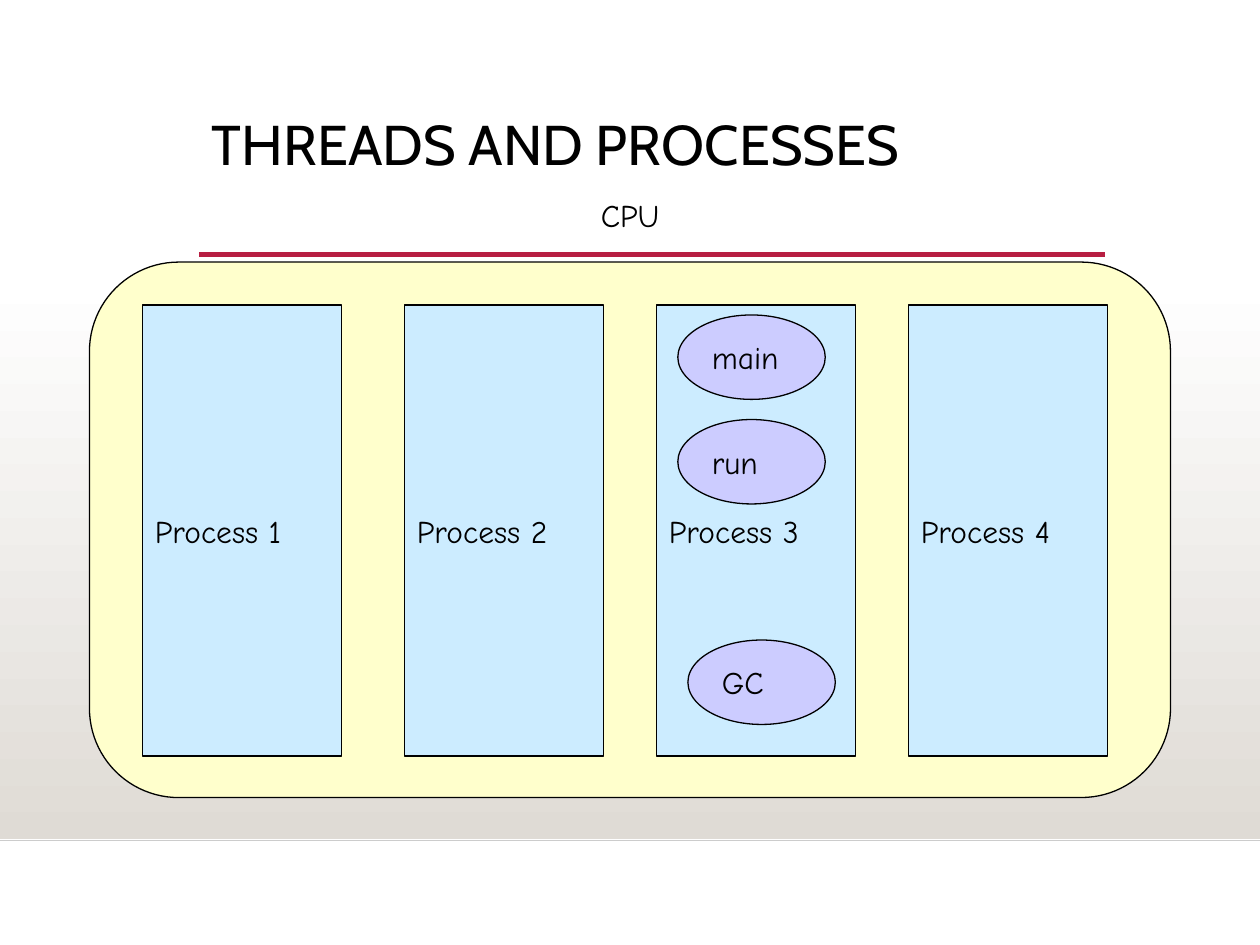
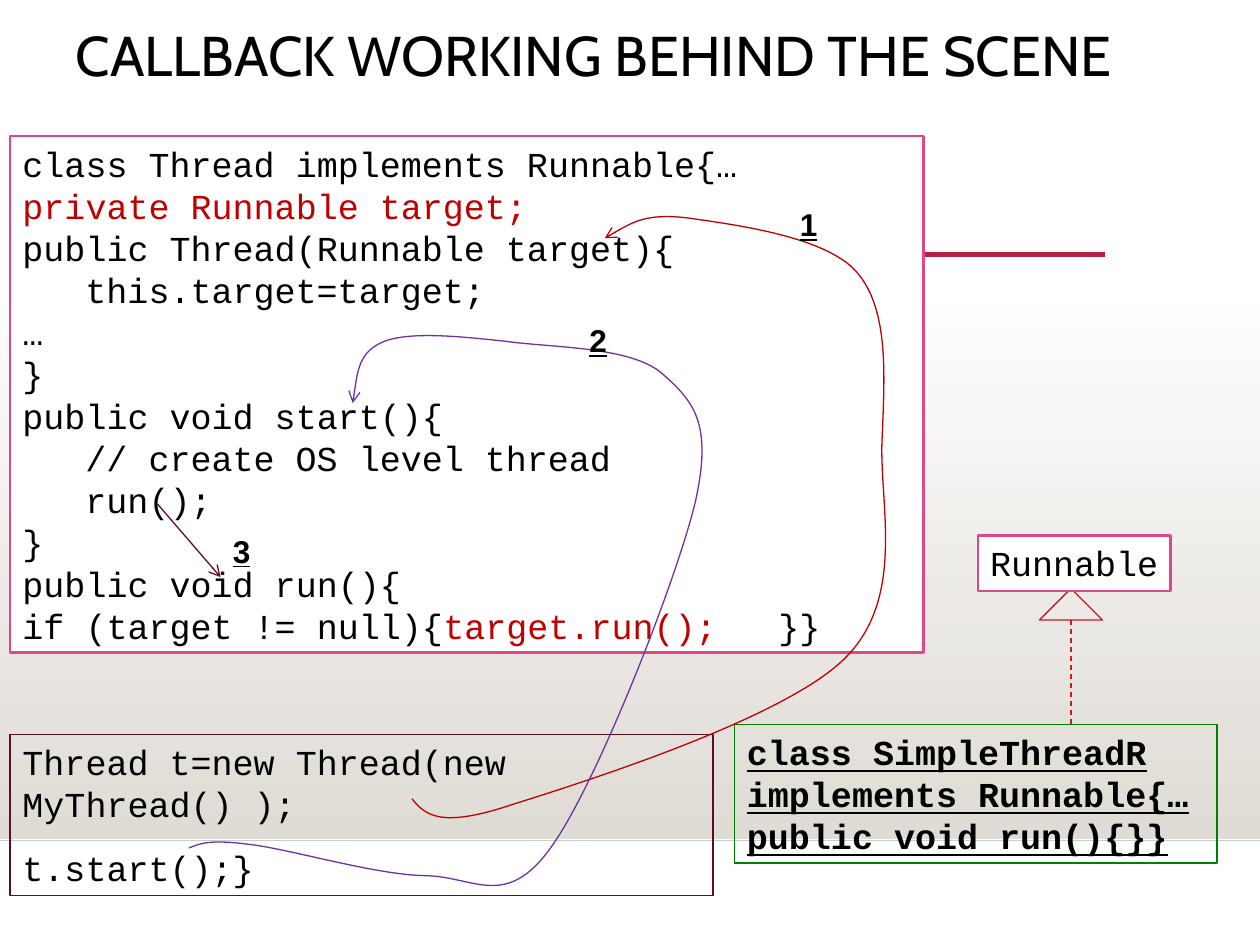
from pptx import Presentation
from pptx.dml.color import RGBColor
from pptx.enum.dml import MSO_LINE
from pptx.enum.shapes import MSO_CONNECTOR, MSO_SHAPE
from pptx.enum.text import MSO_ANCHOR, MSO_AUTO_SIZE, PP_ALIGN
from pptx.oxml.xmlchemy import OxmlElement
from pptx.util import Pt

PX = 9144  # EMU per px, 100 px to the inch
RECT, ROUNDED = MSO_SHAPE.RECTANGLE, MSO_SHAPE.ROUNDED_RECTANGLE
OVAL, TRIANGLE = MSO_SHAPE.OVAL, MSO_SHAPE.ISOSCELES_TRIANGLE
STRAIGHT, DASH = MSO_CONNECTOR.STRAIGHT, MSO_LINE.DASH
TOP, MIDDLE, LEFT = MSO_ANCHOR.TOP, MSO_ANCHOR.MIDDLE, PP_ALIGN.LEFT
NO_FIT = MSO_AUTO_SIZE.NONE

BLACK, WHITE, SAND = "000000", "FFFFFF", "DFDBD5"
PINK, RED, PURPLE, WINE = "DE478E", "C00000", "7030A0", "5C0F21"
TITLE = {"font": "Cabin", "size": 32}
DIAGRAM = {"font": "Comic Neue", "size": 18}
CODE = {"font": "Courier New", "size": 20}
CODE_STRONG = {**CODE, "strong": True}
STEP = {"font": "Arial", "size": 18, "strong": True}
CODE_TABS = (50, 600)


def rgb(value):
    return RGBColor.from_string(value)


def px(*values):
    return [v * PX for v in values]


class Deck:
    def __init__(self):
        self.prs = Presentation()
        self.prs.slide_width, self.prs.slide_height = px(1000, 750)
        self.s = None

    def slide(self, title, at):
        self.s = self.prs.slides.add_slide(self.prs.slide_layouts[5])
        # Background band and rules
        band = self.shape(RECT, (0, 220, 1000, 446))
        band.fill.gradient()
        band.fill.gradient_angle = 270
        for stop, color in zip(band.fill.gradient_stops, (WHITE, SAND)):
            stop.color.rgb = rgb(color)
        self.line((0, 667), (1000, 667), "CCCCCC", 1)
        self.line((158, 202), (877, 202), "B71E42", 2.5)
        # Title
        sp = self.s.shapes.title
        sp.left, sp.top, sp.width, sp.height = px(*at)
        self.fill_text(sp, [title], TITLE)
        sp.text_frame.paragraphs[0].line_spacing = 0.9

    def fill_text(self, sp, lines, style, anchor=TOP, wrap=True, gap=0, tabs=()):
        """Each line is a string or a list of (text, colour) runs."""
        tf = sp.text_frame
        tf.auto_size, tf.word_wrap, tf.vertical_anchor = NO_FIT, wrap, anchor
        tf.margin_left, tf.margin_right, tf.margin_top, tf.margin_bottom = px(10, 10, 5, 5)
        for i, line in enumerate(lines):
            p = tf.add_paragraph() if i else tf.paragraphs[0]
            p.alignment = LEFT
            p.space_before = Pt(gap if i else 0)
            if tabs:
                self.tab_stops(p, tabs)
            for text, color in [(line, BLACK)] if isinstance(line, str) else line:
                r = p.add_run()
                r.text = text
                r.font.name, r.font.size = style["font"], Pt(style["size"])
                r.font.color.rgb = rgb(color)
                if style.get("strong"):
                    r.font.bold = r.font.underline = True

    def tab_stops(self, p, stops):
        tab_list = OxmlElement("a:tabLst")
        for stop in stops:
            tab = OxmlElement("a:tab")
            tab.set("pos", str(stop * PX))
            tab.set("algn", "l")
            tab_list.append(tab)
        p._p.get_or_add_pPr().append(tab_list)

    def outline(self, sp, color, width, arrow=False):
        sp.line.color.rgb = rgb(color)
        sp.line.width = Pt(width)
        if arrow:
            tail = OxmlElement("a:tailEnd")
            tail.set("type", "arrow")
            sp._element.xpath(".//a:ln")[0].append(tail)

    def shape(self, kind, at, fill=None, line=None, width=0.75):
        sp = self.s.shapes.add_shape(kind, *px(*at))
        sp.shadow.inherit = False
        if fill:
            sp.fill.solid()
            sp.fill.fore_color.rgb = rgb(fill)
        else:
            sp.fill.background()
        if line:
            self.outline(sp, line, width)
        else:
            sp.line.fill.background()
        return sp

    def text(self, at, text, style, wrap=True):
        self.fill_text(self.s.shapes.add_textbox(*px(*at)), [text], style, wrap=wrap)

    def line(self, start, end, color, width=0.75, dash=None, arrow=False):
        cx = self.s.shapes.add_connector(STRAIGHT, *px(*start, *end))
        cx._element.spPr.append(OxmlElement("a:effectLst"))
        cx.line.width = Pt(width)
        if dash:
            cx.line.dash_style = dash
        self.outline(cx, color, width, arrow)

    def curve(self, start, points, color):
        """Draw cubic curves; points come in threes: two handles and an end."""
        fb = self.s.shapes.build_freeform(*start, scale=PX)
        fb.add_line_segments(points, close=False)
        sp = fb.convert_to_shape()
        sp.shadow.inherit = False
        sp.fill.background()
        self.outline(sp, color, 0.75, arrow=True)
        segments = sp._element.xpath(".//a:lnTo")
        for i in range(0, len(segments), 3):
            cubic = OxmlElement("a:cubicBezTo")
            segments[i].addprevious(cubic)
            for segment in segments[i:i + 3]:
                cubic.append(segment[0])
                segment.getparent().remove(segment)


def threads_slide(d):
    d.slide("THREADS AND PROCESSES", (158, 88, 719, 115))
    # CPU
    d.text((467, 151, 66, 40), "CPU", DIAGRAM, wrap=False)
    d.shape(ROUNDED, (71, 208, 858, 425), "FFFFCC", BLACK)
    # Processes
    for i, x in enumerate((113, 321, 521, 721), 1):
        sp = d.shape(RECT, (x, 242, 158, 358), "CCECFF", BLACK)
        d.fill_text(sp, [f"Process {i}"], DIAGRAM, MIDDLE, wrap=False)
    # Threads of process 3
    for name, x, y in (("main", 538, 250), ("run", 538, 333), ("GC", 546, 508)):
        sp = d.shape(OVAL, (x, y, 117, 67), "CCCCFF", BLACK)
        d.fill_text(sp, [name], DIAGRAM, MIDDLE, wrap=False)


def callback_slide(d):
    d.slide("CALLBACK WORKING BEHIND THE SCENE", (50, 17, 917, 67))
    # Thread class
    sp = d.shape(RECT, (8, 108, 725, 410), WHITE, PINK, 1.25)
    d.fill_text(sp, [
        "class Thread implements Runnable{…",
        [("private Runnable target;", RED)],
        "public Thread(Runnable target){",
        "\tthis.target=target;",
        "…",
        "}",
        "public void start(){",
        "\t// create OS level thread",
        "\trun();",
        "}",
        "public void run(){",
        [("if (target != null){", BLACK), ("target.run();\t", RED), ("}}", BLACK)],
    ], CODE, tabs=CODE_TABS)
    # Class that implements Runnable
    sp = d.shape(RECT, (583, 575, 383, 110), line="008000")
    d.fill_text(sp, ["class SimpleThreadR implements Runnable{…", "public void run(){}}"],
                CODE_STRONG)
    d.shape(TRIANGLE, (825, 467, 50, 25), line="C81E1E")
    d.line((850, 492), (850, 575), "C81E1E", dash=DASH)
    sp = d.shape(RECT, (776, 425, 153, 44), WHITE, PINK, 1.25)
    d.fill_text(sp, ["Runnable"], CODE, wrap=False)
    # Calling code
    sp = d.shape(RECT, (8, 583, 558, 128), line=WINE)
    d.fill_text(sp, ["Thread t=new Thread(new MyThread() );", "t.start();}"], CODE, gap=12.5)
    # Call arrows
    d.curve((327, 634), [
        (337, 646), (348, 658), (405, 639), (462, 621), (621, 571), (670, 523),
        (719, 475), (698, 401), (700, 350), (702, 299), (706, 246), (680, 216),
        (655, 187), (580, 178), (546, 173), (513, 169), (497, 179), (480, 189),
    ], RED)
    d.curve((150, 673), [
        (158, 670), (165, 666), (196, 670), (227, 673), (296, 694), (336, 695),
        (376, 695), (401, 723), (437, 673), (473, 624), (537, 461), (552, 398),
        (566, 335), (550, 318), (525, 296), (500, 275), (438, 276), (402, 271),
        (365, 267), (326, 263), (305, 271), (285, 279), (283, 300), (280, 320),
    ], PURPLE)
    d.line((125, 400), (175, 458), WINE, arrow=True)
    # Step numbers
    for i, (x, y) in enumerate(((625, 158), (458, 250), (175, 417)), 1):
        d.text((x, y, 25, 40), str(i), STEP)


def main():
    d = Deck()
    threads_slide(d)
    callback_slide(d)
    d.prs.save("out.pptx")


if __name__ == "__main__":
    main()
